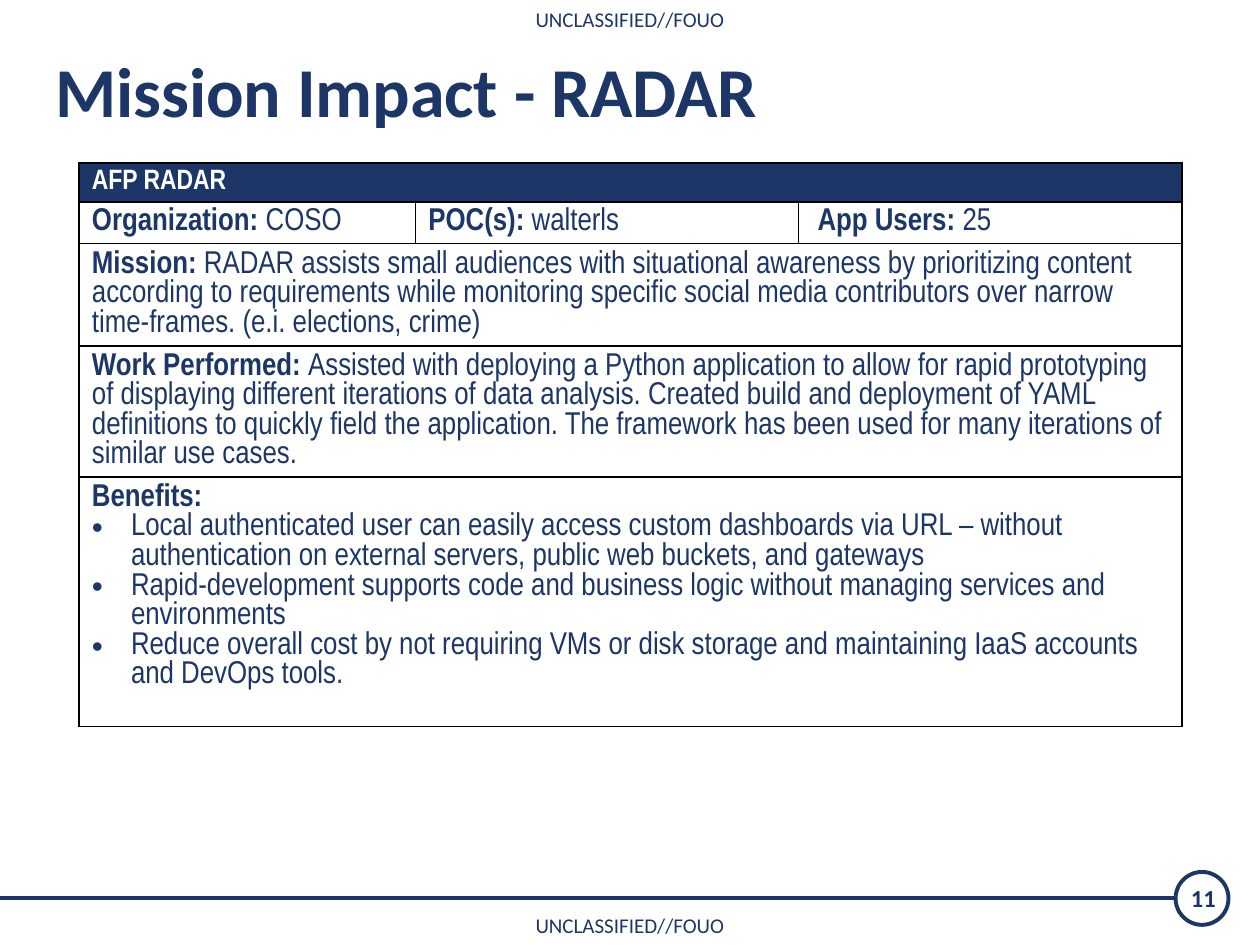
from dataclasses import dataclass
from typing import NamedTuple

from lxml import etree
from pptx import Presentation
from pptx.dml.color import RGBColor
from pptx.enum.shapes import MSO_CONNECTOR, MSO_SHAPE
from pptx.enum.text import MSO_ANCHOR, PP_ALIGN
from pptx.oxml.ns import qn
from pptx.util import Inches, Pt

LEFT, CENTER = PP_ALIGN.LEFT, PP_ALIGN.CENTER
TOP, MIDDLE = MSO_ANCHOR.TOP, MSO_ANCHOR.MIDDLE
STRAIGHT, OVAL = MSO_CONNECTOR.STRAIGHT, MSO_SHAPE.OVAL


@dataclass(frozen=True)
class Theme:
    navy: RGBColor = RGBColor(0x1C, 0x36, 0x67)
    white: RGBColor = RGBColor(0xFF, 0xFF, 0xFF)
    heading_font: str = "Calibri"
    table_font: str = "Arial Narrow"
    marking_size: int = 12
    number_size: int = 14
    header_size: int = 16
    body_size: int = 18
    title_size: int = 40
    line_pitch: float = 0.94
    rule_width: float = 2.25
    thick_border: float = 1.25
    thin_border: float = 0.5


THEME = Theme()


class Label(NamedTuple):
    text: str
    left: float
    top: float
    width: float
    height: float
    size: int
    bold: bool = False
    align: PP_ALIGN = CENTER
    anchor: MSO_ANCHOR = TOP


class Entry(NamedTuple):
    heading: str
    detail: str = ""
    bullets: tuple[str, ...] = ()


class Row(NamedTuple):
    height: float
    entries: tuple[Entry, ...]
    bottom_border: float = THEME.thick_border


MARKING = "UNCLASSIFIED//FOUO"
LABELS = (
    Label(MARKING, 0, 0, 10, 0.3, THEME.marking_size),
    Label(MARKING, 0, 7.19, 10, 0.3, THEME.marking_size),
    Label("Mission Impact - RADAR", 0.34, 0.33, 9.26, 0.83, THEME.title_size, True, LEFT),
    Label("11", 9.19, 6.96, 0.72, 0.33, THEME.number_size, True, CENTER, MIDDLE),
)

COLUMN_WIDTHS = (2.67, 3.04, 3.04)
ROWS = (
    Row(0.31, (Entry("AFP RADAR"),)),
    Row(0.33, (
        Entry("Organization: ", "COSO"),
        Entry("POC(s):\u00a0", "walterls"),
        Entry(" App Users: ", "25"),
    ), THEME.thin_border),
    Row(0.81, (Entry(
        "Mission: ",
        "RADAR assists small audiences with situational awareness by prioritizing content "
        "according to requirements while monitoring specific social media contributors over "
        "narrow time-frames. (e.i. elections, crime)"),)),
    Row(1.04, (Entry(
        "Work Performed: ",
        "Assisted with deploying a Python application to allow for rapid prototyping of "
        "displaying different iterations of data analysis. Created build and deployment of "
        "YAML definitions to quickly field the application. The framework has been used for "
        "many iterations of similar use cases."),)),
    Row(1.98, (Entry("Benefits:", bullets=(
        "Local authenticated user can easily access custom dashboards via URL – without "
        "authentication on external servers, public web buckets, and gateways",
        "Rapid-development supports code and business logic without managing services and "
        "environments",
        "Reduce overall cost by not requiring VMs or disk storage and maintaining IaaS "
        "accounts and DevOps tools.")),), THEME.thin_border),
)


def add_run(paragraph, text: str, font: str, size: int, color: RGBColor, bold: bool) -> None:
    run = paragraph.add_run()
    run.text = text
    run.font.name, run.font.size, run.font.bold = font, Pt(size), bold
    run.font.color.rgb = color


def add_label(slide, label: Label) -> None:
    box = slide.shapes.add_textbox(Inches(label.left), Inches(label.top),
                                   Inches(label.width), Inches(label.height))
    frame = box.text_frame
    frame.word_wrap = True
    frame.vertical_anchor = label.anchor
    paragraph = frame.paragraphs[0]
    paragraph.alignment = label.align
    add_run(paragraph, label.text, THEME.heading_font, label.size, THEME.navy, label.bold)


def add_footer_rule(slide) -> None:
    rule = slide.shapes.add_connector(STRAIGHT, 0, Inches(7.13), Inches(9.33), Inches(7.13))
    etree.SubElement(rule._element.spPr, qn("a:effectLst"))
    ring = slide.shapes.add_shape(OVAL, Inches(9.33), Inches(6.92), Inches(0.42), Inches(0.42))
    ring.shadow.inherit = False
    ring.fill.background()
    for part in (rule, ring):
        part.line.color.rgb = THEME.navy
        part.line.width = Pt(THEME.rule_width)


def set_borders(cell, left: float, right: float, top: float, bottom: float) -> None:
    properties = cell._tc.get_or_add_tcPr()
    for side, width in zip("LRTB", (left, right, top, bottom)):
        line = etree.SubElement(properties, qn(f"a:ln{side}"), w=str(Pt(width)))
        fill = etree.SubElement(line, qn("a:solidFill"))
        etree.SubElement(fill, qn("a:srgbClr"), val="000000")


def make_bullet(paragraph) -> None:
    properties = paragraph._p.get_or_add_pPr()
    properties.set("marL", str(Inches(0.31)))
    properties.set("indent", str(-Inches(0.31)))
    etree.SubElement(properties, qn("a:buFont"), typeface="Arial")
    etree.SubElement(properties, qn("a:buChar"), char="•")


def fill_entry(cell, entry: Entry, size: int, color: RGBColor) -> None:
    frame = cell.text_frame
    paragraph = frame.paragraphs[0]
    add_run(paragraph, entry.heading, THEME.table_font, size, color, True)
    if entry.detail:
        add_run(paragraph, entry.detail, THEME.table_font, size, color, False)
    for text in entry.bullets:
        benefit = frame.add_paragraph()
        make_bullet(benefit)
        add_run(benefit, text, THEME.table_font, size, color, False)
    for line in frame.paragraphs:
        line.line_spacing = Pt(size * THEME.line_pitch)


def add_impact_table(slide) -> None:
    table = slide.shapes.add_table(
        len(ROWS), len(COLUMN_WIDTHS), Inches(0.63), Inches(1.29),
        Inches(sum(COLUMN_WIDTHS)), Inches(sum(row.height for row in ROWS))).table
    for column, width in zip(table.columns, COLUMN_WIDTHS):
        column.width = Inches(width)

    last = len(COLUMN_WIDTHS) - 1
    top_border = THEME.thick_border
    for index, row in enumerate(ROWS):
        is_header = index == 0
        spans_all = len(row.entries) == 1
        table.rows[index].height = Inches(row.height)
        cells = [table.cell(index, column) for column in range(last + 1)]
        for column, cell in enumerate(cells):
            set_borders(cell,
                        THEME.thick_border if column == 0 else THEME.thin_border,
                        THEME.thick_border if spans_all or column == last
                        else THEME.thin_border,
                        top_border, row.bottom_border)
            cell.fill.solid()
            cell.fill.fore_color.rgb = THEME.navy if is_header else THEME.white
        top_border = row.bottom_border
        # A single entry spans the full width
        if spans_all:
            cells[0].merge(cells[last])
        for cell, entry in zip(cells, row.entries):
            fill_entry(cell, entry,
                       THEME.header_size if is_header else THEME.body_size,
                       THEME.white if is_header else THEME.navy)


def main() -> None:
    presentation = Presentation()
    presentation.slide_width, presentation.slide_height = Inches(10), Inches(7.5)
    slide = presentation.slides.add_slide(presentation.slide_layouts[6])
    # Footer line and number ring
    add_footer_rule(slide)
    # Markings, title and slide number
    for label in LABELS:
        add_label(slide, label)
    # Mission table
    add_impact_table(slide)
    presentation.save("out.pptx")


if __name__ == "__main__":
    main()
